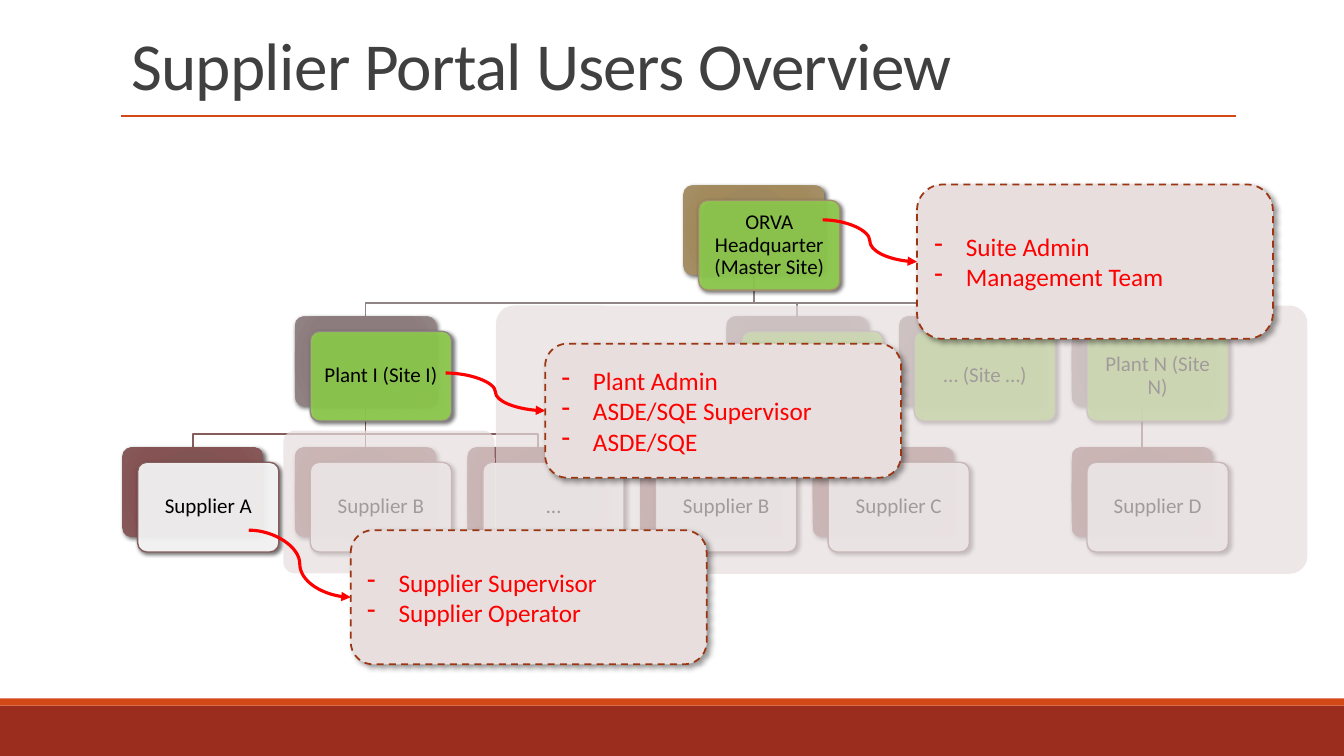
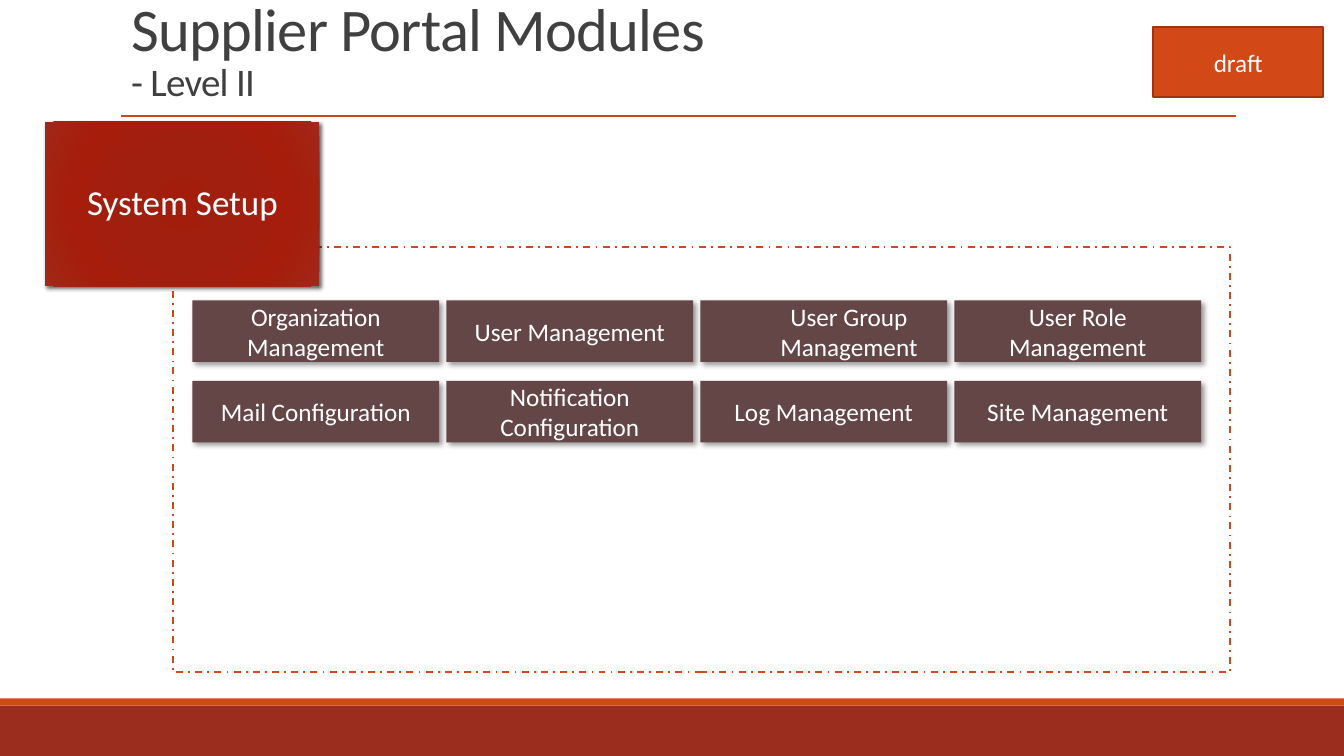
from dataclasses import dataclass
from typing import Any

from lxml.etree import SubElement
from pptx import Presentation
from pptx.dml.color import RGBColor
from pptx.enum.dml import MSO_LINE
from pptx.enum.shapes import MSO_CONNECTOR, MSO_SHAPE
from pptx.enum.text import MSO_ANCHOR, MSO_AUTO_SIZE, PP_ALIGN
from pptx.oxml import parse_xml
from pptx.oxml.ns import nsdecls, qn
from pptx.util import Cm, Pt

RECT, ROUND = MSO_SHAPE.RECTANGLE, MSO_SHAPE.ROUNDED_RECTANGLE
STRAIGHT, CURVE = MSO_CONNECTOR.STRAIGHT, MSO_CONNECTOR.CURVE
DASH, DASH_DOT = MSO_LINE.DASH, MSO_LINE.DASH_DOT
MIDDLE, BOTTOM = MSO_ANCHOR.MIDDLE, MSO_ANCHOR.BOTTOM
LEFT, CENTER = PP_ALIGN.LEFT, PP_ALIGN.CENTER

FONT = "Calibri"
ORANGE, BRICK, RUST = "D34817", "9B2D1F", "9C3511"
BLACK, WHITE, GREY, RED = "000000", "FFFFFF", "404040", "FF0000"
BLUSH, PLUM, GREEN = "E8DEDE", "644646", "92D050"
WIDE, HIGH = 33.87, 19.05
CARD_W, CARD_H = 3.56, 2.26


@dataclass(frozen=True)
class Tier:
    stops: tuple[str, ...]
    edge: str
    face: str


@dataclass(frozen=True)
class Card:
    label: str
    col: float
    row: int
    boss: int | None = None


@dataclass(frozen=True)
class Note:
    x: float
    y: float
    h: float
    start: tuple[float, float]
    roles: tuple[str, ...]


@dataclass(frozen=True)
class Glow:
    alpha: int
    blur: float
    dist: float


BACK, FRONT, SOFT = Glow(60, 3.5, 2), Glow(60, 3, 2), Glow(40, 4, 3)

TIERS = (
    Tier(("9F875B", "9F885D", "A38A5D", "A58F67"), "A28E6A", GREEN),
    Tier(("89797A", "8A7B7C", "8C7C7D", "928384"), "918485", GREEN),
    Tier(("825151", "825353", "855353", "875B5B"), "855D5D", WHITE),
)
SETUP = ("A21D0C", "A01F0F", "A61D0C", "A12819")

CARDS = (
    Card("ORVA Headquarter (Master Site)", 3.25, 0),
    Card("Plant I (Site I)", 1, 1, 0),
    Card("Supplier A", 0, 2, 1),
    Card("Supplier B", 1, 2, 1),
    Card("…", 2, 2, 1),
    Card("", 3.5, 1, 0),
    Card("Supplier B", 3, 2),
    Card("Supplier C", 4, 2),
    Card("… (Site …)", 4.5, 1, 0),
    Card("Plant N (Site N)", 5.5, 1, 0),
    Card("Supplier D", 5.5, 2, 9),
)
VEILS = ((12.5, 7.7, 20.45, 6.76, 0.067), (7.14, 10.85, 5.33, 3.6, 0.082))
NOTES = (
    Note(8.84, 13.36, 3.38, (6.27, 13.36), ("Supplier Supervisor", "Supplier Operator")),
    Note(13.74, 8.66, 3.38, (11.23, 9.4), ("Plant Admin", "ASDE/SQE Supervisor", "ASDE/SQE")),
    Note(23.11, 4.65, 3.89, (20.73, 5.54), ("Suite Admin", "Management Team")),
)
MODULES = (
    "Organization Management", "User Management",
    "User Group Management", "User Role Management",
    "Mail Configuration", "Notification Configuration",
    "Log Management", "Site Management",
)


def hue(code: str) -> RGBColor:
    return RGBColor.from_string(code)


def put(item: Any, **vals: Any) -> None:
    for name, val in vals.items():
        setattr(item, name, val)


def ink(form: Any, code: str, width: float, dash: Any = None) -> None:
    form.line.color.rgb = hue(code)
    put(form.line, width=Pt(width), dash_style=dash)


def paint(form: Any, fill: str | tuple[str, ...] | None, alpha: int = 100) -> None:
    """Fill with one colour, with a radial blend of several, or with none."""
    if isinstance(fill, str):
        form.fill.solid()
        form.fill.fore_color.rgb = hue(fill)
        if alpha < 100:
            tone = form.element.spPr.find(qn("a:solidFill"))[0]
            SubElement(tone, qn("a:alpha"), val=str(alpha * 1000))
        return
    form.fill.background()
    if fill:
        stops = "".join(
            f'<a:gs pos="{pos}000"><a:srgbClr val="{code}"/></a:gs>'
            for pos, code in zip((0, 34, 70, 100), fill))
        props = form.element.spPr
        props.replace(props.find(qn("a:noFill")), parse_xml(
            f'<a:gradFill {nsdecls("a")} rotWithShape="1"><a:gsLst>{stops}</a:gsLst>'
            '<a:path path="circle"><a:fillToRect l="100000" t="100000" '
            'r="100000" b="100000"/></a:path></a:gradFill>'))


def shade(form: Any, glow: Glow | None) -> None:
    form.shadow.inherit = False
    if glow:
        form.element.spPr.find(qn("a:effectLst")).append(parse_xml(
            f'<a:outerShdw {nsdecls("a")} blurRad="{Pt(glow.blur)}" dist="{Pt(glow.dist)}" '
            f'dir="2700000" algn="ctr" rotWithShape="0"><a:srgbClr val="{BLACK}">'
            f'<a:alpha val="{glow.alpha}000"/></a:srgbClr></a:outerShdw>'))


def box(slide: Any, kind: Any, x: float, y: float, w: float, h: float,
        fill: str | tuple[str, ...] | None, line: tuple | None = None,
        glow: Glow | None = None, alpha: int = 100, curve: float | None = None) -> Any:
    form = slide.shapes.add_shape(kind, Cm(x), Cm(y), Cm(w), Cm(h))
    paint(form, fill, alpha)
    if line:
        ink(form, *line)
    else:
        form.line.fill.background()
    shade(form, glow)
    if curve is not None:
        form.adjustments[0] = curve
    return form


def style(run: Any, size: float, code: str) -> None:
    put(run.font, name=FONT, size=Pt(size))
    run.font.color.rgb = hue(code)


def write(form: Any, lines: tuple[str, ...], size: float, code: str,
          align: Any = CENTER, **frame: Any) -> None:
    text = form.text_frame
    put(text, word_wrap=True, vertical_anchor=MIDDLE, **frame)
    for num, line in enumerate(lines):
        para = text.add_paragraph() if num else text.paragraphs[0]
        para.alignment = align
        run = para.add_run()
        run.text = line
        style(run, size, code)


def pad(size: float) -> dict[str, Any]:
    return {f"margin_{side}": Cm(size) for side in ("left", "top", "right", "bottom")}


def tight(form: Any) -> None:
    form.text_frame.paragraphs[0].line_spacing = 0.9


def wire(slide: Any, kind: Any, start: tuple[float, float], end: tuple[float, float],
         code: str, width: float) -> Any:
    form = slide.shapes.add_connector(kind, *(Cm(val) for val in (*start, *end)))
    ink(form, code, width)
    SubElement(form.element.spPr, qn("a:effectLst"))
    return form


def sink(form: Any, tree: Any) -> None:
    """Place the shape behind all others of the tree."""
    tree.insert(2, form.element)


def head(slide: Any, *parts: tuple[str, float]) -> None:
    """Write the title, one line for each text and size."""
    para = slide.shapes.title.text_frame.paragraphs[0]
    para.line_spacing = 0.85
    for num, (text, size) in enumerate(parts):
        if num:
            para.add_line_break()
        run = para.add_run()
        run.text = text
        style(run, size, GREY)
        run.font._element.set("spc", "-50")


def frame(layout: Any, slide: Any) -> None:
    """Set up the layout's title, rule and bands."""
    title = layout.placeholders[0]
    put(title, left=Cm(3.05), top=Cm(0.69), width=Cm(27.94), height=Cm(2.06))
    forms = (
        wire(slide, STRAIGHT, (3.05, 2.92), (31.14, 2.92), ORANGE, 1),
        box(slide, RECT, 0, 17.6, WIDE, 0.18, ORANGE),
        box(slide, RECT, 0, 17.78, WIDE, 1.27, BRICK),
    )
    for num, form in enumerate(forms, 101):
        form.element.xpath(".//p:cNvPr")[0].set("id", str(num))
        sink(form, layout.shapes.element)


def start(deck: Any, layout: Any) -> Any:
    slide = deck.slides.add_slide(layout)
    put(slide.shapes.title.text_frame, vertical_anchor=BOTTOM, word_wrap=True,
        auto_size=MSO_AUTO_SIZE.NONE)
    for para in slide.shapes.title.text_frame.paragraphs:
        para.alignment = LEFT
    return slide


def spot(card: Card) -> tuple[float, float]:
    return 3.08 + 4.35 * card.col, 4.67 + 3.3 * card.row


def plot(slide: Any, card: Card) -> Any:
    """Draw a card and give its rear plate."""
    x, y = spot(card)
    tier = TIERS[card.row]
    rear = box(slide, ROUND, x, y, CARD_W, CARD_H, tier.stops, glow=BACK, curve=0.1)
    face = box(slide, ROUND, x + 0.39, y + 0.38, CARD_W, CARD_H, tier.face,
               (tier.edge, 1), FRONT, 90, 0.1)
    if card.label:
        write(face, (card.label,), 15, BLACK, **pad(0.21))
        tight(face)
    return rear


def link(slide: Any, card: Card, plates: list[Any]) -> None:
    boss = CARDS[card.boss]
    (x1, y1), (x2, y2) = spot(boss), spot(card)
    x1, x2, y1 = x1 + CARD_W / 2, x2 + CARD_W / 2, y1 + CARD_H
    code = TIERS[card.row].edge
    if boss.col == card.col:
        form = wire(slide, STRAIGHT, (x1, y1), (x2, y2), code, 1.25)
        form.begin_connect(plates[card.boss], 2)
        form.end_connect(plates[CARDS.index(card)], 0)
    else:
        turn = y2 - 0.33
        pen = slide.shapes.build_freeform(Cm(x1), Cm(y1))
        pen.add_line_segments(
            [(Cm(x), Cm(y)) for x, y in ((x1, turn), (x2, turn), (x2, y2))], close=False)
        form = pen.convert_to_shape()
        paint(form, None)
        ink(form, code, 1.25)
        shade(form, None)
    sink(form, slide.shapes.element)


def call(slide: Any, note: Note) -> None:
    """Draw a list of roles and the arrow that leads to it."""
    form = box(slide, ROUND, note.x, note.y, 8.97, note.h, BLUSH, (RUST, 1.25, DASH), SOFT)
    write(form, note.roles, 18, RED, LEFT)
    for para in form.text_frame.paragraphs:
        props = para._p.get_or_add_pPr()
        props.set("marL", str(Cm(0.79)))
        props.set("indent", str(-Cm(0.79)))
        SubElement(props, qn("a:buChar"), char="-")
    arrow = wire(slide, CURVE, note.start, (note.x, note.y + note.h / 2), RED, 2.25)
    SubElement(arrow.line._get_or_add_ln(), qn("a:tailEnd"), type="triangle")


def users(slide: Any) -> None:
    head(slide, ("Supplier Portal Users Overview", 48))
    plates = [plot(slide, card) for card in CARDS]
    for card in CARDS:
        if card.boss is not None:
            link(slide, card, plates)
    for x, y, w, h, curve in VEILS:
        box(slide, ROUND, x, y, w, h, BLUSH, alpha=70, curve=curve)
    for note in NOTES:
        call(slide, note)


def modules(slide: Any) -> None:
    head(slide, ("Supplier Portal Modules", 43.2), ("- Level II", 27.9))
    box(slide, RECT, 4.37, 6.22, 26.62, 10.72, None, (ORANGE, 1.25, DASH_DOT))
    setup = box(slide, RECT, 1.14, 3.07, 6.91, 4.14, SETUP, glow=FRONT)
    write(setup, ("System Setup",), 25, WHITE, **pad(0.25))
    tight(setup)
    for num, name in enumerate(MODULES):
        row, col = divmod(num, 4)
        tile = box(slide, RECT, 4.85 + 6.4 * col, 7.57 + 2.03 * row, 6.22, 1.55, PLUM, glow=SOFT)
        write(tile, (name,), 18, WHITE)
        if name == "User Group Management":
            para = tile.text_frame.paragraphs[0]
            para.level = 1
            para._p.get_or_add_pPr().set("marL", str(Cm(1.27)))
    draft = box(slide, RECT, 29.06, 0.69, 4.29, 1.75, ORANGE, (RUST, 1.25))
    write(draft, ("draft",), 18, WHITE)


def main() -> None:
    deck = Presentation()
    put(deck, slide_width=Cm(WIDE), slide_height=Cm(HIGH))
    layout = deck.slide_layouts[5]
    first, second = start(deck, layout), start(deck, layout)
    frame(layout, first)
    users(first)
    modules(second)
    deck.save("out.pptx")


if __name__ == "__main__":
    main()
